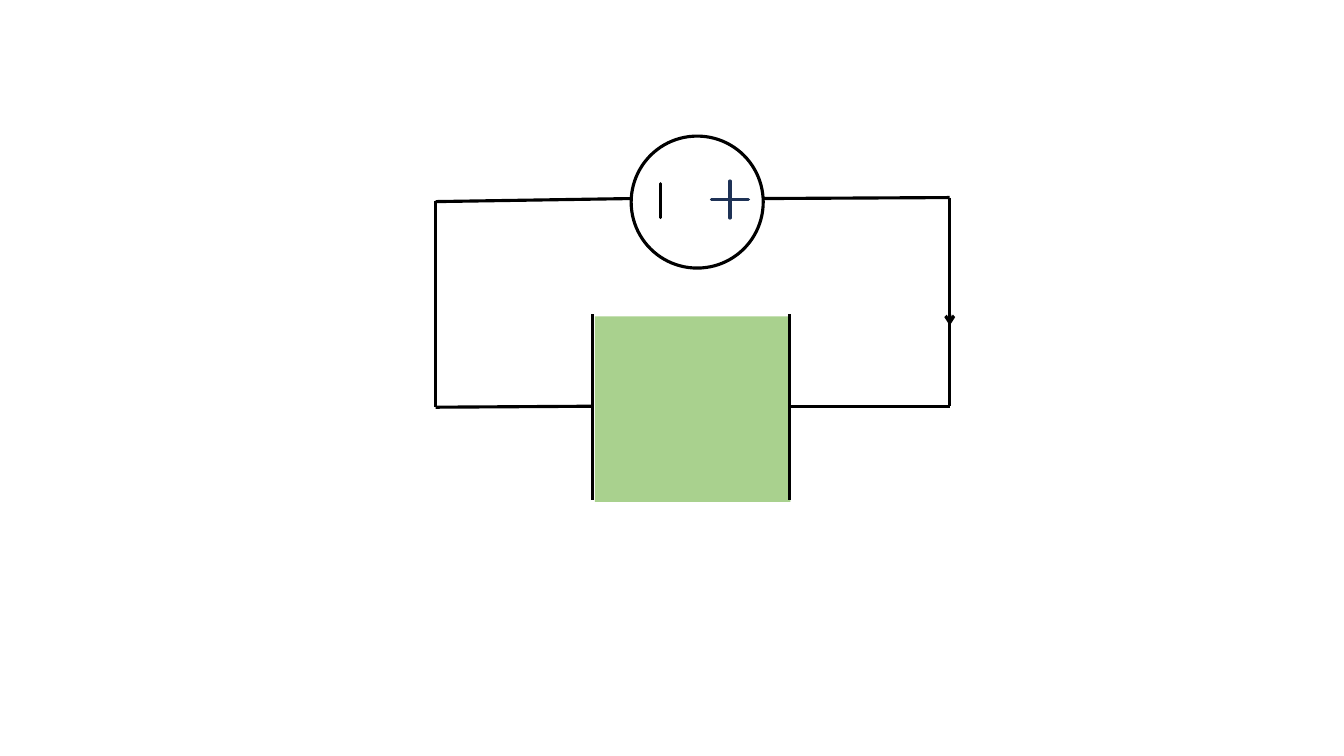
from typing import NamedTuple, Optional

from lxml import etree
from pptx import Presentation
from pptx.dml import color as c
from pptx.enum import shapes as s
from pptx.oxml import ns
from pptx.util import Inches, Pt

COLORS = {"wire": "000000", "paper": "FFFFFF", "dielectric": "A9D18E", "plus": "1E3256"}
LINE_WIDTH = Pt(2.25)


class Wire(NamedTuple):
    x1: float
    y1: float
    x2: float
    y2: float
    arrow: bool = False


class Part(NamedTuple):
    kind: s.MSO_SHAPE
    left: float
    top: float
    width: float
    height: float
    fill: Optional[str] = None
    outline: Optional[str] = None
    rotation: float = 0
    thin: bool = False  # strokes of a sign have no thickness of their own


def rgb(name: str) -> c.RGBColor:
    return c.RGBColor.from_string(COLORS[name])


def draw_wire(slide, wire: Wire) -> None:
    line = slide.shapes.add_connector(
        s.MSO_CONNECTOR.STRAIGHT, *map(Inches, (wire.x1, wire.y1, wire.x2, wire.y2)))
    line.line.color.rgb = rgb("wire")
    line.line.width = LINE_WIDTH
    properties = line.element.spPr
    if wire.arrow:
        outline = properties.find(ns.qn("a:ln"))
        etree.SubElement(outline, ns.qn("a:tailEnd"), type="arrow")
    etree.SubElement(properties, ns.qn("a:effectLst"))


def draw_part(slide, part: Part) -> None:
    shape = slide.shapes.add_shape(
        part.kind, *map(Inches, (part.left, part.top, part.width, part.height)))
    shape.shadow.inherit = False
    shape.rotation = part.rotation
    if part.thin:
        shape.adjustments[0] = 0
    if part.fill:
        shape.fill.solid()
        shape.fill.fore_color.rgb = rgb(part.fill)
    else:
        shape.fill.background()
    if part.outline:
        shape.line.color.rgb = rgb(part.outline)
        shape.line.width = LINE_WIDTH
    else:
        shape.line.fill.background()


# Key positions of the circuit
LEFT, RIGHT = 4.32, 9.42
TOP, BOTTOM = 1.96, 4.03
PLATE_LEFT, PLATE_RIGHT = 5.88, 7.83
PLATE_TOP, PLATE_BOTTOM = 3.12, 4.96
SOURCE_LEFT, SOURCE_SIZE = 6.26, 1.31

# Circuit from back to front
circuit = [
    # Wires to the source and the plates
    Wire(LEFT, 1.99, LEFT, 4.04),
    Wire(PLATE_LEFT, BOTTOM, LEFT, 4.04),
    Wire(SOURCE_LEFT, 1.97, LEFT, 2),
    Wire(RIGHT, BOTTOM, PLATE_RIGHT, BOTTOM),
    Wire(RIGHT, TOP, SOURCE_LEFT + SOURCE_SIZE, 1.97),
    # Capacitor
    Part(s.MSO_SHAPE.RECTANGLE, 5.9, 3.14, 1.94, 1.84, fill="dielectric"),
    Wire(RIGHT, TOP, RIGHT, BOTTOM),
    *(Wire(x, PLATE_TOP, x, PLATE_BOTTOM) for x in (PLATE_LEFT, PLATE_RIGHT)),
    # Voltage source with its poles
    Part(s.MSO_SHAPE.OVAL, SOURCE_LEFT, 1.35, SOURCE_SIZE, SOURCE_SIZE, "paper", "wire"),
    Part(s.MSO_SHAPE.MATH_PLUS, 6.99, 1.73, 0.5, 0.5, outline="plus", thin=True),
    Part(s.MSO_SHAPE.MATH_MINUS, 6.32, 1.76, 0.46, 0.46, outline="wire",
         rotation=270, thin=True),
    # Current direction
    Wire(RIGHT, 2.42, RIGHT, 3.23, arrow=True),
]

presentation = Presentation()
presentation.slide_width, presentation.slide_height = Inches(13.33), Inches(7.5)
slide = presentation.slides.add_slide(presentation.slide_layouts[6])
for element in circuit:
    if isinstance(element, Wire):
        draw_wire(slide, element)
    else:
        draw_part(slide, element)

presentation.save("out.pptx")
